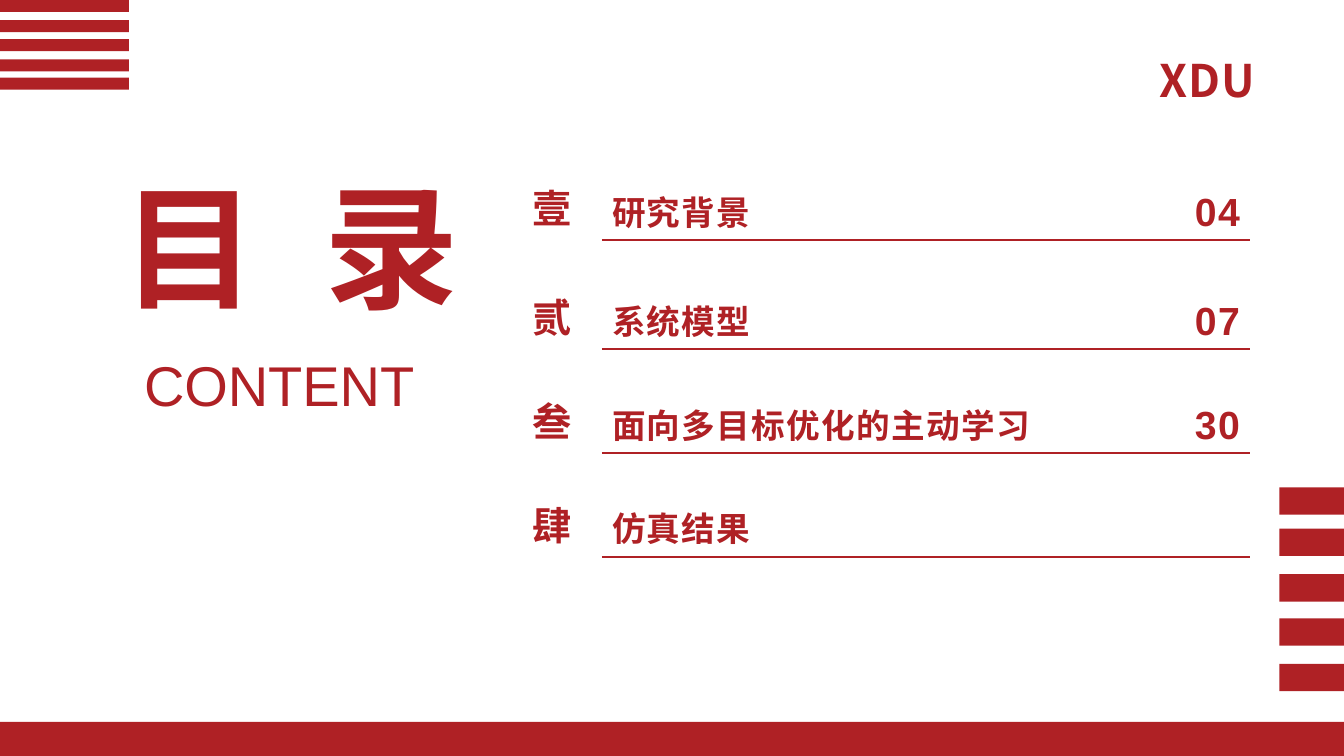
from dataclasses import dataclass

from lxml import etree
from pptx import Presentation
from pptx.dml.color import RGBColor
from pptx.enum.shapes import MSO_SHAPE
from pptx.enum.text import MSO_ANCHOR, MSO_AUTO_SIZE, PP_ALIGN
from pptx.oxml.ns import qn
from pptx.util import Cm, Pt

RECTANGLE = MSO_SHAPE.RECTANGLE
BOTTOM = MSO_ANCHOR.BOTTOM
GROW = MSO_AUTO_SIZE.SHAPE_TO_FIT_TEXT
LEFT, RIGHT, JUSTIFY = PP_ALIGN.LEFT, PP_ALIGN.RIGHT, PP_ALIGN.JUSTIFY


@dataclass(frozen=True)
class Theme:
    red: str = "AF2125"
    latin: str = "Arial"
    chinese: str = "Noto Sans CJK SC"
    heading: float = 96
    subheading: float = 40
    badge: float = 32
    numeral: float = 28
    chapter: float = 24
    rule: float = 1.5
    tracking: float = 1


THEME = Theme()
SLIDE_WIDTH, SLIDE_HEIGHT = 33.87, 19.05
CHAPTERS = [
    ("壹", "研究背景", "04"),
    ("贰", "系统模型", "07"),
    ("叁", "面向多目标优化的主动学习", "30"),
    ("肆", "仿真结果", ""),
]
COLUMN_WIDTHS = [2.01, 12.83, 3.5]
ROW_HEIGHTS = [2.95, 2.74, 2.62, 2.62]
TOP_STRIPES = [0, 0.51, 0.99, 1.5, 1.96]
SIDE_STRIPES = [12.28, 13.32, 14.47, 15.58, 16.73]


def add_run(paragraph, text, size, bold=True, tracking=0, latin=THEME.latin):
    run = paragraph.add_run()
    run.text = text
    font = run.font
    font.size, font.bold, font.name = Pt(size), bold, latin
    font.color.rgb = RGBColor.from_string(THEME.red)
    properties = font._element
    properties.set("spc", str(round(tracking * 100)))
    east_asian = etree.Element(qn("a:ea"), typeface=THEME.chinese)
    properties.find(qn("a:latin")).addnext(east_asian)


def add_label(slide, box, alignment, wrap=False, spacing=1.0):
    label = slide.shapes.add_textbox(*map(Cm, box))
    label.text_frame.word_wrap = wrap
    label.text_frame.auto_size = GROW
    paragraph = label.text_frame.paragraphs[0]
    paragraph.alignment = alignment
    paragraph.line_spacing = spacing
    return paragraph


def add_bar(shapes, left, top, width, height):
    bar = shapes.add_shape(RECTANGLE, Cm(left), Cm(top), Cm(width), Cm(height))
    bar.shadow.inherit = False
    bar.fill.solid()
    bar.fill.fore_color.rgb = RGBColor.from_string(THEME.red)
    bar.line.fill.background()


def add_stripes(slide, left, tops, width, height):
    stripes = slide.shapes.add_group_shape()
    for top in tops:
        add_bar(stripes.shapes, left, top, width, height)


def set_borders(cell, ruled_sides):
    properties = cell._tc.get_or_add_tcPr()
    for side in ("lnL", "lnR", "lnT", "lnB"):
        border = etree.SubElement(properties, qn(f"a:{side}"), w=str(Pt(THEME.rule)))
        if side in ruled_sides:
            fill = etree.SubElement(border, qn("a:solidFill"))
            etree.SubElement(fill, qn("a:srgbClr"), val=THEME.red)
        else:
            etree.SubElement(border, qn("a:noFill"))


def fill_cell(cell, text, size, alignment, spacing, ruled_sides):
    set_borders(cell, ruled_sides)
    cell.fill.background()
    cell.vertical_anchor = BOTTOM
    paragraph = cell.text_frame.paragraphs[0]
    paragraph.alignment = alignment
    paragraph.line_spacing = spacing
    if text:
        add_run(paragraph, text, size, tracking=THEME.tracking)


def add_contents(slide, left, top):
    frame = slide.shapes.add_table(
        len(CHAPTERS), len(COLUMN_WIDTHS), Cm(left), Cm(top),
        Cm(sum(COLUMN_WIDTHS)), Cm(sum(ROW_HEIGHTS)),
    )
    contents = frame.table
    contents.first_row = contents.horz_banding = False
    for column, width in zip(contents.columns, COLUMN_WIDTHS):
        column.width = Cm(width)
    for index, (numeral, chapter, page) in enumerate(CHAPTERS):
        contents.rows[index].height = Cm(ROW_HEIGHTS[index])
        numeral_cell, chapter_cell, page_cell = contents.rows[index].cells
        ruled = ("lnT", "lnB") if index else ("lnB",)
        fill_cell(numeral_cell, numeral, THEME.numeral, JUSTIFY, 1.5, ())
        fill_cell(chapter_cell, chapter, THEME.chapter, JUSTIFY, 1.3, ruled)
        fill_cell(page_cell, page, THEME.numeral, RIGHT, 1.3, ruled)


def main():
    presentation = Presentation()
    presentation.slide_width = Cm(SLIDE_WIDTH)
    presentation.slide_height = Cm(SLIDE_HEIGHT)
    slide = presentation.slides.add_slide(presentation.slide_layouts[6])

    badge = add_label(slide, (28.96, 0.79, 3.2, 1.85), JUSTIFY, spacing=1.3)
    add_run(badge, "XDU", THEME.badge, tracking=THEME.tracking, latin=THEME.chinese)

    heading = add_label(slide, (2.84, 4.01, 9.37, 4.37), LEFT)
    for text, tracking in (("目", 0), (" ", 26.7), ("录", 0)):
        add_run(heading, text, THEME.heading, tracking=tracking)

    subheading = add_label(slide, (3.38, 8.71, 8.51, 1.96), JUSTIFY, wrap=True)
    add_run(subheading, "CONTENT", THEME.subheading, bold=False)

    add_contents(slide, 13.16, 3.1)
    add_bar(slide.shapes, 0, 18.19, SLIDE_WIDTH, 0.86)
    add_stripes(slide, 0, TOP_STRIPES, 3.25, 0.3)
    add_stripes(slide, 32.24, SIDE_STRIPES, 1.63, 0.69)
    presentation.save("out.pptx")


if __name__ == "__main__":
    main()
